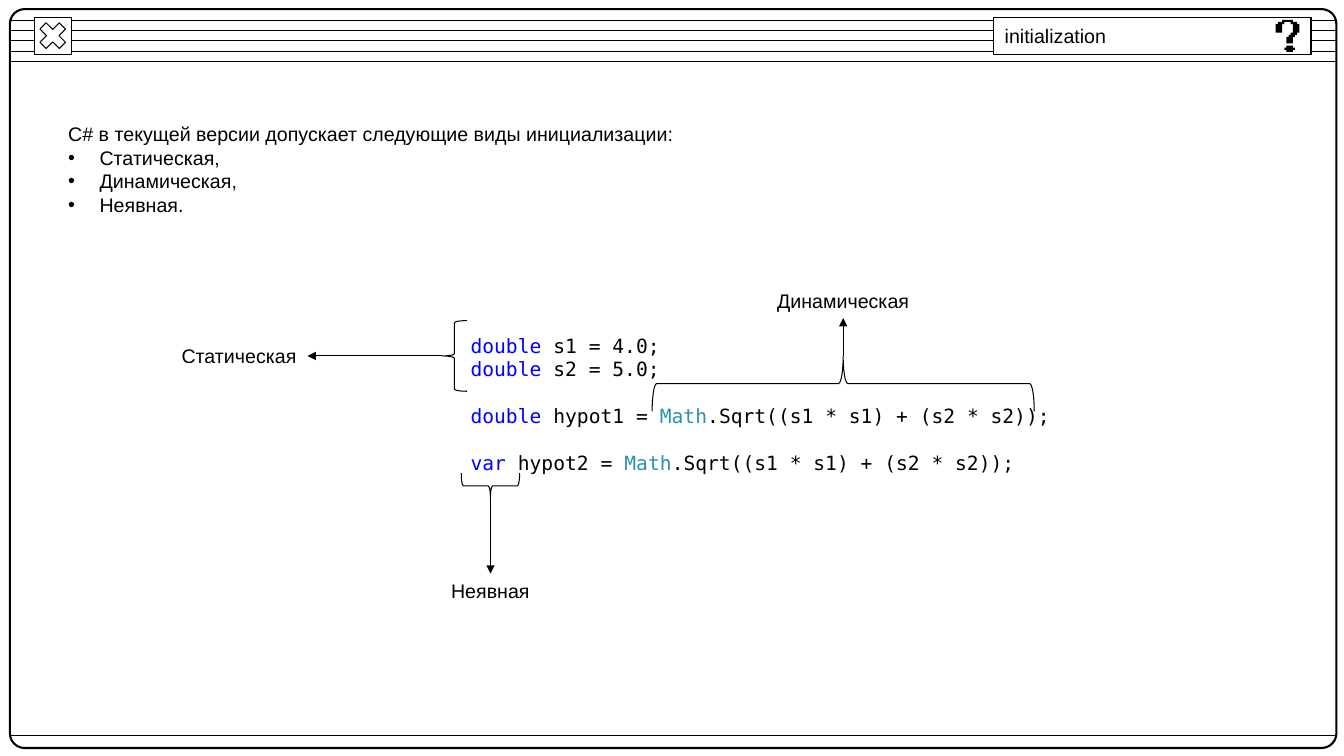
from dataclasses import dataclass

from lxml.etree import SubElement
from pptx import Presentation
from pptx.dml.color import RGBColor
from pptx.enum.shapes import MSO_CONNECTOR as Connector, MSO_SHAPE as Preset
from pptx.enum.text import PP_ALIGN as Align
from pptx.oxml.ns import qn
from pptx.util import Cm, Pt


@dataclass(frozen=True)
class Theme:
    """Colours, fonts and sizes of the slide."""
    ink: str = "000000"
    paper: str = "FFFFFF"
    keyword: str = "0000FF"
    type_name: str = "2B91AF"
    text_font: str = "Arial"
    code_font: str = "DejaVu Sans Mono"
    text_size: float = 14
    code_gap: float = 16.8
    thin: float = 0.75
    thick: float = 1.5


THEME = Theme()
HOOK = [(3, 0), (3, 1), (1, 1), (1, 2), (0, 2), (0, 6), (3, 6), (3, 2), (4, 2),
        (4, 1), (7, 1), (7, 2), (8, 2), (8, 6), (7, 6), (7, 7), (6, 7), (6, 8),
        (5, 8), (5, 11), (8, 11), (8, 8), (9, 8), (9, 7), (10, 7), (10, 6),
        (11, 6), (11, 2), (10, 2), (10, 1), (8, 1), (8, 0)]
DOT = [(5, 12), (5, 13), (4, 13), (4, 14), (5, 14), (5, 15), (8, 15), (8, 14),
       (9, 14), (9, 13), (8, 13), (8, 12)]
KINDS = ["Статическая,", "Динамическая,", "Неявная."]
HYPOT_CALL = [("Math", THEME.type_name), (".Sqrt((s1 * s1) + (s2 * s2));", THEME.ink)]
CODE = [
    [("double", THEME.keyword), (" s1 = 4.0;", THEME.ink)],
    [("double", THEME.keyword), (" s2 = 5.0;", THEME.ink)],
    [("double", THEME.keyword), (" hypot1 = ", THEME.ink), *HYPOT_CALL],
    [("var", THEME.keyword), (" hypot2 = ", THEME.ink), *HYPOT_CALL],
]


def color(code):
    """Return the colour for a hex code."""
    return RGBColor.from_string(code)


def add_text(slide, box, lines, font=THEME.text_font, align=Align.LEFT,
             bulleted=(), spaced=()):
    """Write lines, each a string or a list of (text, colour) runs."""
    area = slide.shapes.add_textbox(*map(Cm, box))
    frame = area.text_frame
    frame.word_wrap = True
    for index, line in enumerate(lines):
        paragraph = frame.paragraphs[0] if index == 0 else frame.add_paragraph()
        paragraph.alignment = align
        if index in spaced:
            paragraph.space_before = Pt(THEME.code_gap)
        if index in bulleted:
            props = paragraph.runs and None or paragraph._p.get_or_add_pPr()
            props.set("marL", str(Cm(0.79)))
            props.set("indent", str(-Cm(0.79)))
            SubElement(props, qn("a:buFont"), typeface=THEME.text_font)
            SubElement(props, qn("a:buChar"), char="•")
        for words, ink in [(line, THEME.ink)] if isinstance(line, str) else line:
            run = paragraph.add_run()
            run.text = words
            run.font.name = font
            run.font.size = Pt(THEME.text_size)
            run.font.color.rgb = color(ink)
    return area


def style(shape, fill=None, width=THEME.thin):
    """Give a shape its fill and outline and no shadow."""
    shape.shadow.inherit = False
    if fill:
        shape.fill.solid()
        shape.fill.fore_color.rgb = color(fill)
    else:
        shape.fill.background()
    if width:
        shape.line.color.rgb = color(THEME.ink)
        shape.line.width = Pt(width)
    else:
        shape.line.fill.background()


def add_preset(slide, preset, box, **look):
    """Add a styled preset shape."""
    shape = slide.shapes.add_shape(preset, *map(Cm, box))
    style(shape, **look)
    return shape


def add_line(slide, start, end, arrow=False):
    """Add a thin straight line, with an arrowhead at its end if asked."""
    line = slide.shapes.add_connector(Connector.STRAIGHT, *map(Cm, (*start, *end)))
    line.line.color.rgb = color(THEME.ink)
    line.line.width = Pt(THEME.thin)
    if arrow:
        SubElement(line.line._get_or_add_ln(), qn("a:tailEnd"), type="triangle")
    SubElement(line._element.spPr, qn("a:effectLst"))
    return line


def draw_window(slide, box):
    """Draw the window frame with its title stripes, close box and bottom rule."""
    left, top, width, height = box
    stripes = [top + 0.28 + 0.26 * row for row in range(5)]
    for y in [*stripes, top + height - 0.31]:
        add_line(slide, (left + 0.03, y), (left + width, y))
    frame = add_preset(slide, Preset.ROUNDED_RECTANGLE, box, width=THEME.thick)
    frame.adjustments[0] = 0.02
    close_box = (left + 0.61, top + 0.2, 0.94, 0.94)
    add_preset(slide, Preset.RECTANGLE, close_box, fill=THEME.paper)
    cross = add_preset(slide, Preset.MATH_MULTIPLY, close_box, fill=THEME.paper)
    cross.adjustments[0] = 0.235


def draw_title(slide, box, title):
    """Draw the title field with its pixel question mark."""
    left, top, width, height = box
    add_preset(slide, Preset.RECTANGLE, box, fill=THEME.paper)
    cell = Cm(0.81) / 15
    for outline in (HOOK, DOT):
        builder = slide.shapes.build_freeform(*outline[0], scale=cell)
        builder.add_line_segments(outline[1:], close=True)
        mark = builder.convert_to_shape(Cm(left + width - 0.89), Cm(top + 0.07))
        style(mark, fill=THEME.ink, width=None)
    add_text(slide, (left + 0.03, top + 0.05, 3.3, 0.86), [title])


def draw_callout(slide, box, brace, turn, direction, reach, label, label_width):
    """Draw a brace in its unturned box and an arrow from its tip to a label."""
    left, top, depth, span = box
    across, down = direction
    center_x, center_y = left + depth / 2, top + span / 2
    tip = center_x + across * depth / 2, center_y + down * depth / 2
    end = tip[0] + across * reach, tip[1] + down * reach
    add_preset(slide, brace, box).rotation = turn
    label_height = 0.86
    label_box = (end[0] + (across - 1) * label_width / 2,
                 end[1] + (down - 1) * label_height / 2, label_width, label_height)
    name = add_text(slide, label_box, [label], align=Align.CENTER)
    arrow = add_line(slide, tip, end, arrow=True)
    arrow.end_connect(name, {(-1, 0): 3, (0, -1): 2, (0, 1): 0}[direction])


def draw_code(slide, box):
    """Write the code and mark its three kinds of initialization."""
    left, top, _, _ = box
    add_text(slide, box, CODE, font=THEME.code_font, spaced=(2, 3))
    draw_callout(slide, (left - 0.48, top - 0.2, 0.64, 1.78), Preset.LEFT_BRACE,
                 0, (-1, 0), 3.38, "Статическая", 3.45)
    draw_callout(slide, (left + 8.94, top - 3.43, 1.4, 9.63), Preset.RIGHT_BRACE,
                 270, (0, -1), 0.95, "Динамическая", 3.86)
    draw_callout(slide, (left + 0.43, top + 3.23, 0.64, 1.47), Preset.LEFT_BRACE,
                 270, (0, 1), 1.89, "Неявная", 2.59)


def main():
    """Build and save the slide."""
    deck = Presentation()
    deck.slide_width, deck.slide_height = Cm(33.87), Cm(19.05)
    slide = deck.slides.add_slide(deck.slide_layouts[6])
    draw_window(slide, (0.25, 0.23, 33.43, 18.62))
    draw_title(slide, (25.04, 0.43, 8, 0.94), "initialization")
    intro = "C# в текущей версии допускает следующие виды инициализации:"
    add_text(slide, (1.47, 2.95, 15.9, 2.64), [intro, *KINDS], bulleted=(1, 2, 3))
    draw_code(slide, (11.61, 8.28, 16.94, 3.84))
    deck.save("out.pptx")


if __name__ == "__main__":
    main()
